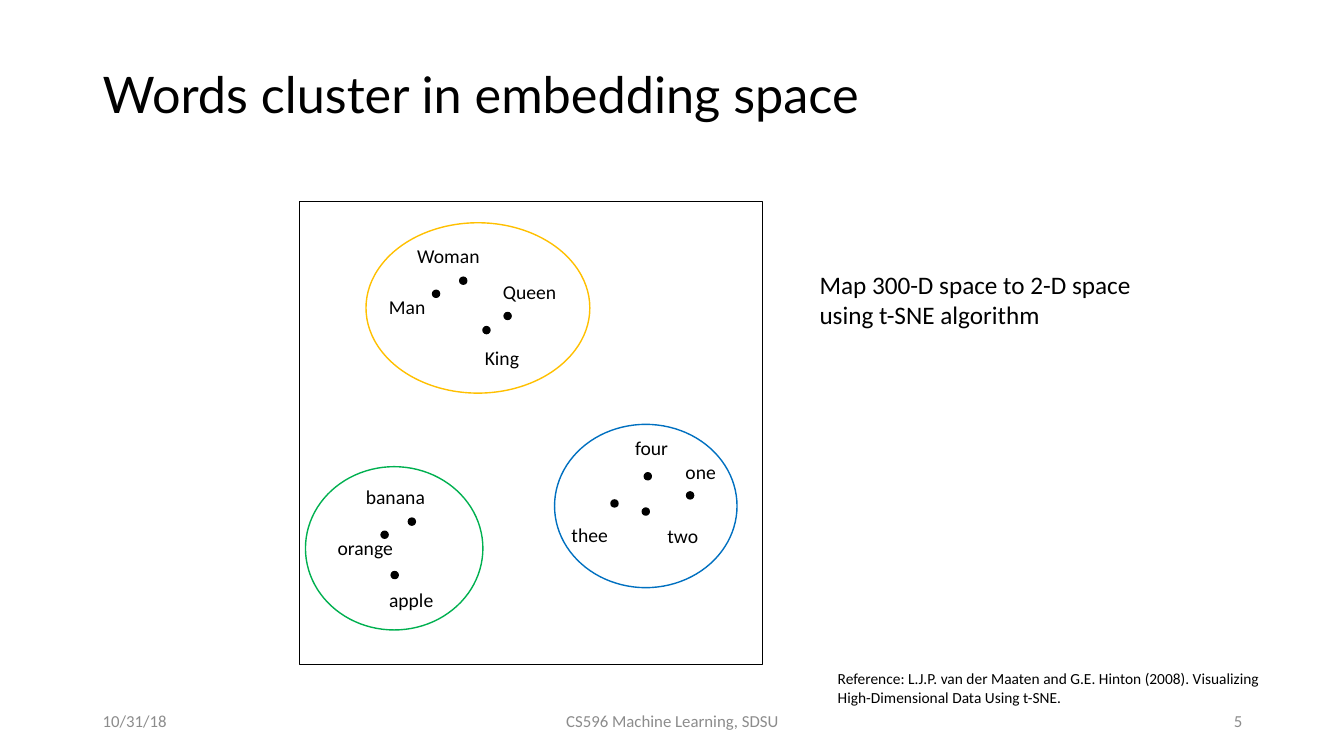
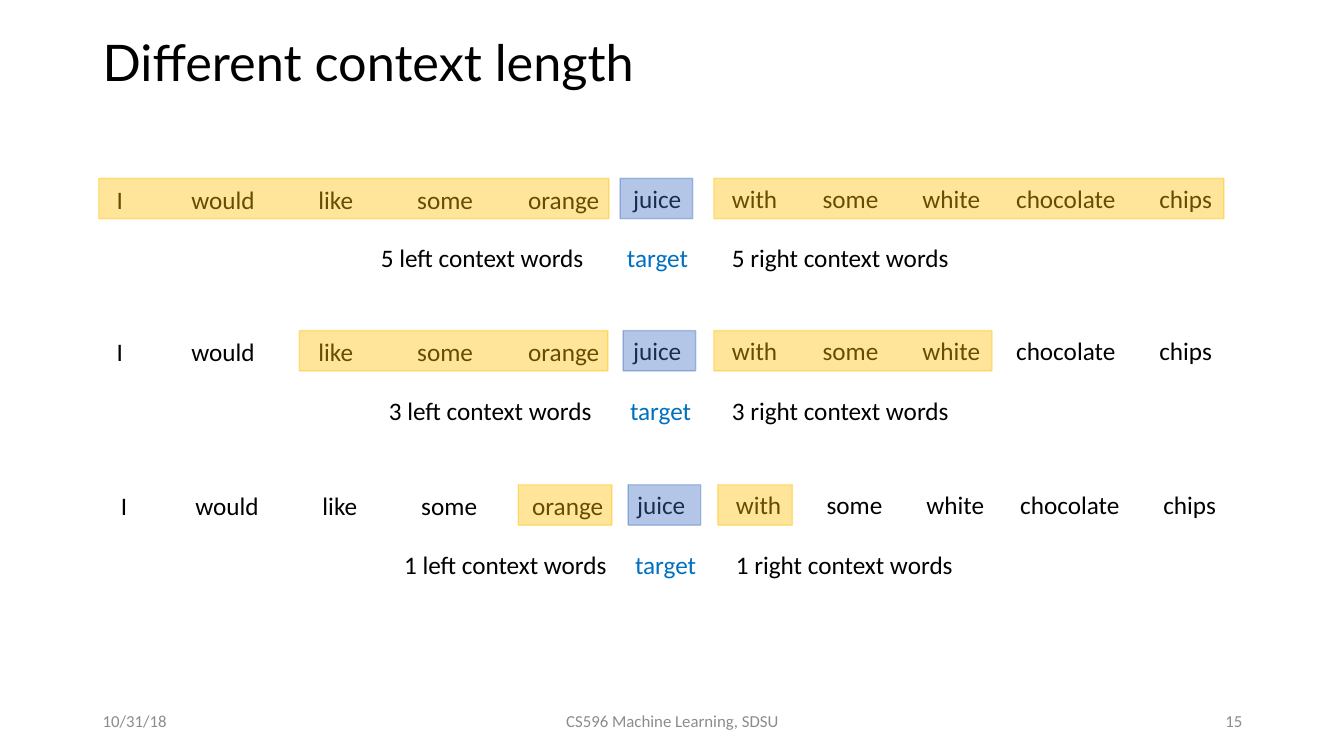
import pptx
import pptx.util
import pptx.dml.color
import pptx.enum.shapes
import pptx.enum.text
import pptx.oxml.ns
from lxml import etree

Inches = pptx.util.Inches
SHAPE = pptx.enum.shapes.MSO_SHAPE
ALIGN = pptx.enum.text.PP_ALIGN
ANCHOR = pptx.enum.text.MSO_ANCHOR

# Shared look
BLACK, GREY, BLUE = "000000", "8C8C8C", "0070C0"
GOLD, GREEN, TARGET_BLUE = "FFC000", "00B050", "4472C4"
TITLE_FONT, BODY_FONT = "Lato", "Calibri"
FOOTER_TOP, FOOTER_HEIGHT = 6.95, 0.4


def add_text(shapes, box, text, size, color=BLACK, font=BODY_FONT,
             align=ALIGN.LEFT, anchor=ANCHOR.TOP, wrap=False, spacing=None):
    frame = shapes.add_textbox(*map(Inches, box)).text_frame
    frame.word_wrap = wrap
    frame.vertical_anchor = anchor
    paragraph = frame.paragraphs[0]
    paragraph.alignment = align
    paragraph.line_spacing = spacing
    run = paragraph.add_run()
    run.text = text
    run.font.size = pptx.util.Pt(size)
    run.font.name = font
    run.font.color.rgb = pptx.dml.color.RGBColor.from_string(color)


def add_outline(shapes, kind, box, line, fill=None, opacity=None):
    shape = shapes.add_shape(kind, *map(Inches, box))
    shape.shadow.inherit = False
    shape.line.width = pptx.util.Pt(1)
    shape.line.color.rgb = pptx.dml.color.RGBColor.from_string(line)
    if fill:
        shape.fill.solid()
        shape.fill.fore_color.rgb = pptx.dml.color.RGBColor.from_string(fill)
    else:
        shape.fill.background()
    if opacity:
        for color in shape.element.spPr.iter(pptx.oxml.ns.qn("a:srgbClr")):
            alpha = etree.SubElement(color, pptx.oxml.ns.qn("a:alpha"))
            alpha.set("val", str(opacity * 1000))


deck = pptx.Presentation()
deck.slide_width, deck.slide_height = Inches(13.33), Inches(7.5)

# Titles and footers
slides = []
for title, top, height, number in [
    ("Words cluster in embedding space", 0.4, 1.12, "5"),
    ("Different context length", 0.16, 0.97, "15"),
]:
    slide = deck.slides.add_slide(deck.slide_layouts[6])
    slides.append(slide)
    add_text(slide.shapes, (0.92, top, 11.5, height), title, 36, font=TITLE_FONT,
             anchor=ANCHOR.MIDDLE, wrap=True, spacing=0.9)
    for left, width, text, align in [
        (0.92, 3, "10/31/18", ALIGN.LEFT),
        (4.42, 4.5, "CS596 Machine Learning, SDSU", ALIGN.CENTER),
        (9.42, 3, number, ALIGN.RIGHT),
    ]:
        add_text(slide.shapes, (left, FOOTER_TOP, width, FOOTER_HEIGHT), text, 12,
                 GREY, align=align, anchor=ANCHOR.MIDDLE, wrap=True)

embedding, context = slides

# Embedding space: plot frame and remarks
add_outline(embedding.shapes, SHAPE.RECTANGLE, (2.97, 2, 4.59, 4.59), BLACK)
add_text(embedding.shapes, (8.03, 2.62, 3.64, 0.71),
         "Map 300-D space to 2-D space using t-SNE algorithm", 18, wrap=True)
add_text(embedding.shapes, (8.21, 6.59, 4.58, 0.47),
         "Reference: L.J.P. van der Maaten and G.E. Hinton (2008). Visualizing "
         "High-Dimensional Data Using t-SNE.", 11, wrap=True)

# Clusters: outline, then each word with its label place and its dot
DOT = 0.07
clusters = [
    (GOLD, (3.63, 2.21, 2.22, 1.69), [
        ("Man", 3.76, 2.88, 0.57, 4.29, 2.88),
        ("Woman", 4.04, 2.37, 0.83, 4.56, 2.75),
        ("Queen", 4.89, 2.73, 0.74, 5, 3.1),
        ("King", 4.71, 3.38, 0.55, 4.79, 3.24),
    ]),
    (BLUE, (5.5, 4.21, 1.81, 1.62), [
        ("thee", 5.57, 5.14, 0.57, 6.06, 4.96),
        ("four", 6.2, 4.28, 0.53, 6.39, 4.69),
        ("one", 6.7, 4.51, 0.51, 6.81, 4.88),
        ("two", 6.52, 5.15, 0.51, 6.37, 5.04),
    ]),
    (GREEN, (3.03, 4.63, 1.76, 1.62), [
        ("orange", 3.25, 5.27, 0.76, 3.78, 5.27),
        ("banana", 3.53, 4.76, 0.8, 4.05, 5.14),
        ("apple", 3.76, 5.78, 0.65, 3.88, 5.67),
    ]),
]
for color, outline, words in clusters:
    for word, left, top, width, dot_left, dot_top in words:
        add_outline(embedding.shapes, SHAPE.OVAL, (dot_left, dot_top, DOT, DOT),
                    BLACK, BLACK)
        add_text(embedding.shapes, (left, top, width, 0.34), word, 14)
    add_outline(embedding.shapes, SHAPE.OVAL, outline, color)

# Context length: one sentence per row, highlighted around the target
ROW_HEIGHT, CAPTION_DROP = 0.4, 0.59
sentence = [
    ("I", 1.06, 0.27), ("would", 1.8, 0.84), ("like", 3.06, 0.55),
    ("some", 4.04, 0.76), ("orange", 5.14, 0.92), ("juice", 6.18, 0.69),
    ("with", 7.16, 0.66), ("some", 8.06, 0.76), ("white", 9.05, 0.78),
    ("chocolate", 9.98, 1.2), ("chips", 11.4, 0.73),
]
target_index = 5
# count, top, shift, left band (left, width), right band width, target, caption
rows = [
    (5, 1.77, 0, (0.98, 5.06), 5.06, 6.15, 3.68),
    (3, 3.28, 0, (2.97, 3.06), 2.76, 6.18, 3.76),
    (1, 4.81, 0.04, (5.14, 0.93), 0.74, 6.23, 3.91),
]
for count, top, shift, left_band, right_width, target_left, caption_left in rows:
    row = context.shapes.add_group_shape().shapes
    for index, (word, left, width) in enumerate(sentence):
        word_top = top + 0.01 if index < target_index else top
        add_text(row, (left + shift, word_top, width, ROW_HEIGHT), word, 18)
    for left, width, color in [
        (*left_band, GOLD),
        (target_left, 0.72, TARGET_BLUE),
        (7.08 + shift, right_width, GOLD),
    ]:
        add_outline(row, SHAPE.RECTANGLE, (left, top, width, ROW_HEIGHT),
                    color, color, opacity=40)
    for left, width, text, color in [
        (caption_left, 2.24, f"{count} left context words", BLACK),
        (target_left - 0.03, 0.81, "target", BLUE),
        (7.16 + shift, 2.38, f"{count} right context words", BLACK),
    ]:
        add_text(row, (left, top + CAPTION_DROP, width, ROW_HEIGHT), text, 18, color)

deck.save("out.pptx")
